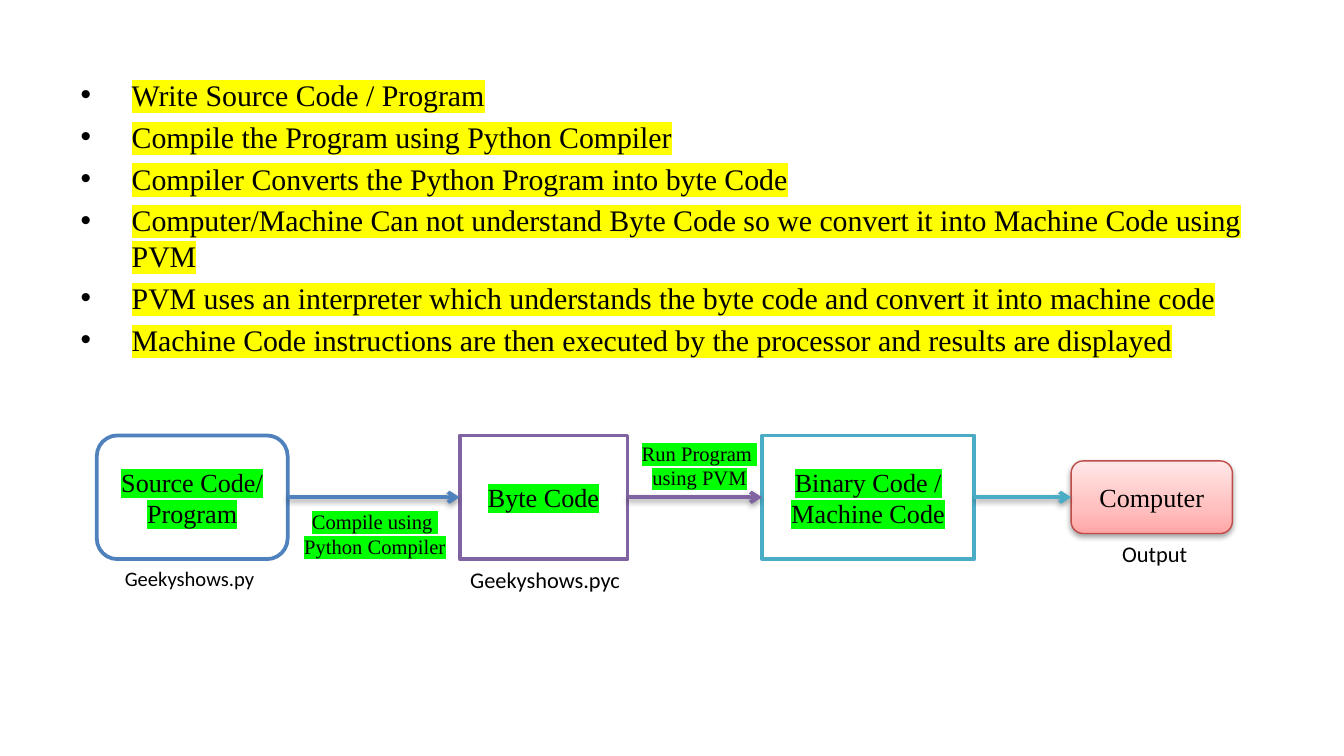
"""Build a slide showing how Python source code becomes running output."""
from copy import deepcopy
from typing import NamedTuple, Optional

from lxml.etree import SubElement
from pptx import Presentation
from pptx.dml.color import RGBColor
from pptx.enum.shapes import MSO_CONNECTOR, MSO_SHAPE
from pptx.enum.text import MSO_ANCHOR, MSO_AUTO_SIZE, PP_ALIGN
from pptx.oxml.ns import qn
from pptx.util import Inches, Pt

BLACK = RGBColor(0x00, 0x00, 0x00)
WHITE = RGBColor(0xFF, 0xFF, 0xFF)
BLUE = RGBColor(0x4F, 0x81, 0xBD)
PURPLE = RGBColor(0x80, 0x64, 0xA2)
TEAL = RGBColor(0x4B, 0xAC, 0xC6)
RED = RGBColor(0xBF, 0x4C, 0x48)
YELLOW = RGBColor(0xFF, 0xFF, 0x00)
GREEN = RGBColor(0x00, 0xFF, 0x00)
PINKS = (
    (0, RGBColor(0xFF, 0xA6, 0xA5)),
    (0.35, RGBColor(0xFF, 0xC0, 0xBF)),
    (1, RGBColor(0xFF, 0xE7, 0xE7)),
)
SERIF, SANS = "Times New Roman", "Calibri"
SLIDE_WIDTH = Inches(10)
SLIDE_HEIGHT = SLIDE_WIDTH * 9 // 16
FLOW_MIDDLE = 3.7


class Stage(NamedTuple):
    text: str
    left: float
    width: float
    height: float
    outline: RGBColor
    preset: MSO_SHAPE = MSO_SHAPE.RECTANGLE
    is_output: bool = False


class Label(NamedTuple):
    lines: tuple[str, ...]
    left: float
    top: float
    width: float
    height: float
    size: int
    font: str = SANS
    highlight: Optional[RGBColor] = None


STEPS = (
    "Write Source Code / Program",
    "Compile the Program using Python Compiler",
    "Compiler Converts the Python Program into byte Code",
    "Computer/Machine Can not understand Byte Code so we convert it into Machine Code using PVM",
    "PVM uses an interpreter which understands the byte code and convert it into machine code",
    "Machine Code instructions are then executed by the processor and results are displayed",
)
STAGES = (
    Stage("Source Code/ Program", 0.72, 1.42, 0.92, BLUE, MSO_SHAPE.ROUNDED_RECTANGLE),
    Stage("Byte Code", 3.42, 1.25, 0.92, PURPLE),
    Stage("Binary Code / Machine Code", 5.67, 1.58, 0.92, TEAL),
    Stage("Computer", 7.97, 1.2, 0.54, RED, MSO_SHAPE.ROUNDED_RECTANGLE, True),
)
LABELS = (
    Label(("Geekyshows.py",), 0.83, 4.16, 1.18, 0.29, 11),
    Label(("Compile using ", "Python Compiler"), 2.16, 3.74, 1.26, 0.47, 11, SERIF, GREEN),
    Label(("Geekyshows.pyc",), 3.4, 4.16, 1.35, 0.3, 12),
    Label(("Run Program ", "using PVM"), 4.67, 3.23, 1.07, 0.47, 11, SERIF, GREEN),
    Label(("Output",), 8.25, 3.97, 0.69, 0.3, 12),
)


def write(paragraph, text: str, size: int, font: str, highlight: Optional[RGBColor]) -> None:
    """Put one run of text in a paragraph."""
    paragraph.font.size = Pt(size)
    paragraph.font.name = font
    paragraph.font.color.rgb = BLACK
    run = paragraph.add_run()
    run.text = text
    if highlight is not None:
        marker = SubElement(run.font._element, qn("a:highlight"))
        SubElement(marker, qn("a:srgbClr"), val=str(highlight))


def add_shadow(effects) -> None:
    """Add a soft downward shadow to an effect list."""
    shadow = SubElement(effects, qn("a:outerShdw"), blurRad="40000", dist="20000",
                        dir="5400000", rotWithShape="0")
    color = SubElement(shadow, qn("a:srgbClr"), val=str(BLACK))
    SubElement(color, qn("a:alpha"), val="38000")


def fill_pink(shape) -> None:
    """Fill a shape with the pink gradient, darkest at the bottom."""
    shape.fill.gradient()
    shape.fill.gradient_angle = 90
    stops = shape._element.spPr.find(f".//{qn('a:gsLst')}")
    stops.insert(1, deepcopy(stops[0]))
    for stop, (position, color) in zip(shape.fill.gradient_stops, PINKS):
        stop.position = position
        stop.color.rgb = color


def add_steps(slide) -> None:
    """Fill the body placeholder with the bulleted steps."""
    body = slide.placeholders[1]
    body.left, body.top, body.width, body.height = map(Inches, (0.5, 0.52, 9, 2.55))
    frame = body.text_frame
    frame.auto_size = MSO_AUTO_SIZE.NONE
    for index, step in enumerate(STEPS):
        paragraph = frame.add_paragraph() if index else frame.paragraphs[0]
        if index == 0:
            paragraph.space_before = Pt(0)
        properties = paragraph._p.get_or_add_pPr()
        properties.set("marL", str(Inches(0.38)))
        properties.set("indent", str(Inches(-0.38)))
        SubElement(properties, qn("a:buFont"), typeface="Arial")
        SubElement(properties, qn("a:buChar"), char="•")
        write(paragraph, step, 16, SERIF, YELLOW)


def add_stage(slide, stage: Stage):
    """Draw one stage centred on the flow line."""
    shape = slide.shapes.add_shape(
        stage.preset, Inches(stage.left), Inches(FLOW_MIDDLE - stage.height / 2),
        Inches(stage.width), Inches(stage.height))
    shape.shadow.inherit = False
    shape.line.color.rgb = stage.outline
    shape.line.width = Pt(0.75 if stage.is_output else 2)
    if stage.is_output:
        fill_pink(shape)
        add_shadow(shape._element.spPr.find(qn("a:effectLst")))
    else:
        shape.fill.solid()
        shape.fill.fore_color.rgb = WHITE
    frame = shape.text_frame
    frame.word_wrap = True
    frame.vertical_anchor = MSO_ANCHOR.MIDDLE
    paragraph = frame.paragraphs[0]
    paragraph.alignment = PP_ALIGN.CENTER
    write(paragraph, stage.text, 14, SERIF, None if stage.is_output else GREEN)
    return shape


def add_arrow(slide, source, target, color: RGBColor) -> None:
    """Join two stages with an arrow from right side to left side."""
    arrow = slide.shapes.add_connector(MSO_CONNECTOR.STRAIGHT, 0, 0, 0, 0)
    arrow.begin_connect(source, 3)
    arrow.end_connect(target, 1)
    arrow.line.color.rgb = color
    arrow.line.width = Pt(2)
    SubElement(arrow.line._get_or_add_ln(), qn("a:tailEnd"), type="arrow")
    add_shadow(SubElement(arrow._element.spPr, qn("a:effectLst")))


def add_label(slide, label: Label) -> None:
    """Draw a caption beside the flow."""
    caption = slide.shapes.add_textbox(
        *map(Inches, (label.left, label.top, label.width, label.height)))
    frame = caption.text_frame
    frame.word_wrap = False
    frame.auto_size = MSO_AUTO_SIZE.SHAPE_TO_FIT_TEXT
    for index, line in enumerate(label.lines):
        paragraph = frame.add_paragraph() if index else frame.paragraphs[0]
        if len(label.lines) > 1:
            paragraph.alignment = PP_ALIGN.CENTER
        write(paragraph, line, label.size, label.font, label.highlight)


def main() -> None:
    """Build and save the slide."""
    deck = Presentation()
    deck.slide_width, deck.slide_height = SLIDE_WIDTH, SLIDE_HEIGHT
    slide = deck.slides.add_slide(deck.slide_layouts[1])
    title = slide.shapes.title._element
    title.getparent().remove(title)
    add_steps(slide)
    shapes = [add_stage(slide, stage) for stage in STAGES]
    for source, target, stage in zip(shapes, shapes[1:], STAGES):
        add_arrow(slide, source, target, stage.outline)
    for label in LABELS:
        add_label(slide, label)
    deck.save("out.pptx")


if __name__ == "__main__":
    main()
